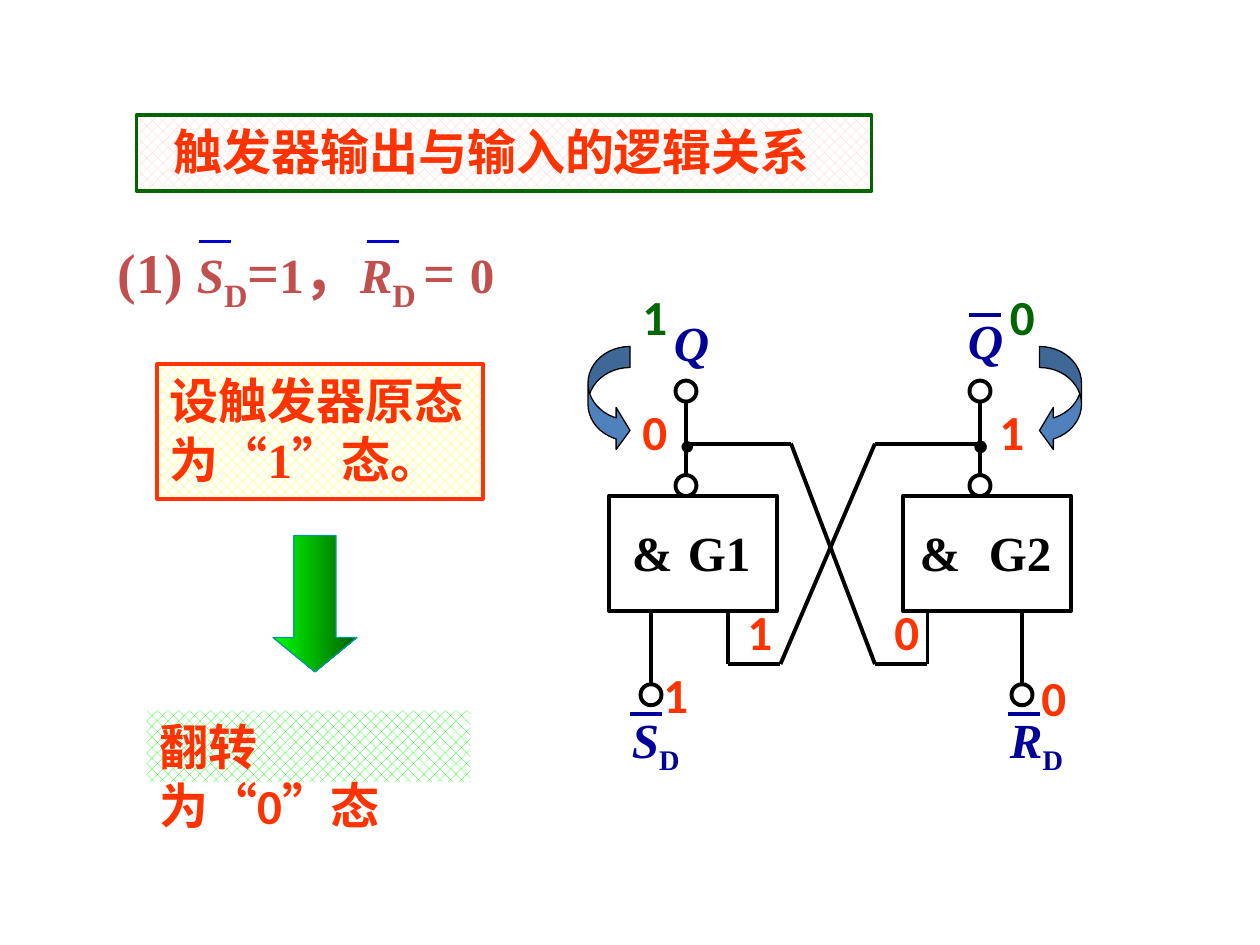
"""Build the flip-flop logic slide: gate circuit, state labels and captions."""
import lxml.etree
import pptx
import pptx.dml.color
import pptx.enum.dml
import pptx.enum.shapes
import pptx.enum.text
import pptx.oxml.ns
import pptx.util

Pt = pptx.util.Pt
SHAPES = pptx.enum.shapes.MSO_SHAPE
color = pptx.dml.color.RGBColor.from_string

ROMAN, SANS = "Times New Roman", "Calibri"
RED, GREEN, NAVY, BLACK, ROSE = "FF3300", "006600", "000099", "000000", "C0504D"

deck = pptx.Presentation()
deck.slide_width, deck.slide_height = Pt(720), Pt(540)
page = deck.slides.add_slide(deck.slide_layouts[6])


def add_shape(kind, left, top, width, height, line=None, weight=2.25):
    shape = page.shapes.add_shape(kind, Pt(left), Pt(top), Pt(width), Pt(height))
    shape.shadow.inherit = False
    shape.fill.background()
    if line:
        shape.line.color.rgb = color(line)
        shape.line.width = Pt(weight)
    else:
        shape.line.fill.background()
    return shape


def write(box, pieces, font, ink, wrap=True):
    frame = box.text_frame
    frame.word_wrap = wrap
    frame.vertical_anchor = pptx.enum.text.MSO_ANCHOR.TOP
    para = frame.paragraphs[0]
    para.alignment = pptx.enum.text.PP_ALIGN.LEFT
    for text, size, style in pieces:
        span = para.add_run()
        span.text = text
        span.font.name, span.font.size = font, Pt(size)
        span.font.bold, span.font.italic = True, style == "italic"
        span.font.color.rgb = color(ink)
        if style == "sub":
            span.font._element.set("baseline", "-25000")


panels = [
    ("触发器输出与输入的逻辑关系", 78, 66, 420, 43.2, "FFCCCC", GREEN, ROMAN, 21.2),
    ("设触发器原态为“1”态。", 90, 208, 186, 77, "FFFF00", RED, ROMAN, 7.2),
    ("翻转为“0”态", 84, 406, 185, 41, "00FF00", None, SANS, 7.2),
]
for text, left, top, width, height, tint, edge, font, inset in panels:
    panel = add_shape(SHAPES.RECTANGLE, left, top, width, height, edge)
    panel.fill.patterned()
    panel.fill.pattern = pptx.enum.dml.MSO_PATTERN.from_xml("pct40")
    panel.fill.fore_color.rgb = color(tint)
    panel.fill.back_color.rgb = color("FFFFFF")
    panel.text_frame.margin_left = Pt(inset)
    write(panel, [(text, 28, "")], font, RED)

for kind, left in [(SHAPES.CURVED_LEFT_ARROW, 594), (SHAPES.CURVED_RIGHT_ARROW, 336)]:
    arrow = add_shape(kind, left, 198, 24, 60, BLACK, 0.75)
    arrow.fill.solid()
    arrow.fill.fore_color.rgb = color("4F81BD")
    for index, value in enumerate([0.5, 1, 0.33]):
        arrow.adjustments[index] = value

down = add_shape(SHAPES.DOWN_ARROW, 156, 306, 48, 78, "009999", 0.75)
down.adjustments[0], down.adjustments[1] = 0.5, 0.41
down.fill.gradient()
down.fill.gradient_angle = 0
for stop, shade in zip(down.fill.gradient_stops, ["00FF00", "006000"]):
    stop.color.rgb = color(shade)

for gate_left, input_x in [(348, 372), (516, 584)]:
    output_x = gate_left + 44
    add_shape(SHAPES.RECTANGLE, gate_left, 283.2, 96, 66, BLACK)
    for x, y in [(output_x, 223.5), (output_x, 277.5), (input_x, 397)]:
        add_shape(SHAPES.OVAL, x - 6, y - 6, 12, 12, BLACK)

wires = [
    (392, 271.5, 392, 229.5), (560, 271.5, 560, 229.5),
    (372, 349.2, 372, 391), (584, 349.2, 584, 391),
    (392, 253.5, 452, 253.5), (500, 253.5, 560, 253.5),
    (452, 253.5, 500, 379.5), (500, 253.5, 446, 379.5),
    (416, 379.5, 446, 379.5), (500, 379.5, 530, 379.5),
    (416, 379.5, 416, 349.2), (530, 379.5, 530, 349.2),
]
bars = [(114, 138, "0000CC"), (210, 138, "0000CC"),
        (554, 180, NAVY), (360, 408, NAVY), (576, 408, NAVY)]
lines = [(*wire, BLACK) for wire in wires]
lines += [(x, y, x + 18, y, ink) for x, y, ink in bars]
for x1, y1, x2, y2, ink in lines:
    line = page.shapes.add_connector(
        pptx.enum.shapes.MSO_CONNECTOR.STRAIGHT, Pt(x1), Pt(y1), Pt(x2), Pt(y2))
    line.line.color.rgb = color(ink)
    line.line.width = Pt(2.25)
    lxml.etree.SubElement(line._element.spPr, pptx.oxml.ns.qn("a:effectLst"))

formula = [("(1) ", 32, ""), ("S", 28, "italic"), ("D", 32, "sub"), ("=", 32, ""),
           ("1", 28, ""), ("，", 32, ""), ("R", 28, "italic"), ("D ", 32, "sub"),
           ("= ", 32, ""), ("0", 28, "")]
labels = [
    (formula, 60, 132, 246, 45.4, ROMAN, ROSE, True),
    ([("Q", 28, "italic")], 378, 175, 35.3, 41, ROMAN, NAVY, False),
    ([("Q", 28, "italic")], 546, 174, 35.3, 41, ROMAN, NAVY, False),
    ([("S", 28, "italic"), ("D", 28, "sub")], 354, 402, 43.9, 41, ROMAN, NAVY, False),
    ([("R", 28, "italic"), ("D", 28, "sub")], 570, 402, 46.8, 41, ROMAN, NAVY, False),
    ([("&", 28, "")], 354, 295.2, 42, 41, ROMAN, BLACK, True),
    ([("G1", 28, "")], 386, 295.2, 58, 41, ROMAN, BLACK, True),
    ([("&", 28, "")], 518.4, 295.2, 42, 41, ROMAN, BLACK, True),
    ([("G2", 28, "")], 558, 295.2, 72, 41, ROMAN, BLACK, True),
    ([(".", 44, "")], 380, 211, 26, 60, SANS, BLACK, False),
    ([(".", 44, "")], 548, 211, 24, 60, ROMAN, BLACK, True),
]
states = [
    ("1", 360, 160, GREEN), ("0", 570, 160, GREEN),
    ("0", 360, 226, RED), ("1", 564, 226, RED),
    ("1", 420, 340, RED), ("0", 504, 340, RED),
    ("1", 372, 376, RED), ("0", 588, 378, RED),
]
labels += [([(digit, 28, "")], left, top, 28.6, 41, SANS, ink, False)
           for digit, left, top, ink in states]
for pieces, left, top, width, height, font, ink, wrap in labels:
    box = page.shapes.add_textbox(Pt(left), Pt(top), Pt(width), Pt(height))
    write(box, pieces, font, ink, wrap)

deck.save("out.pptx")
